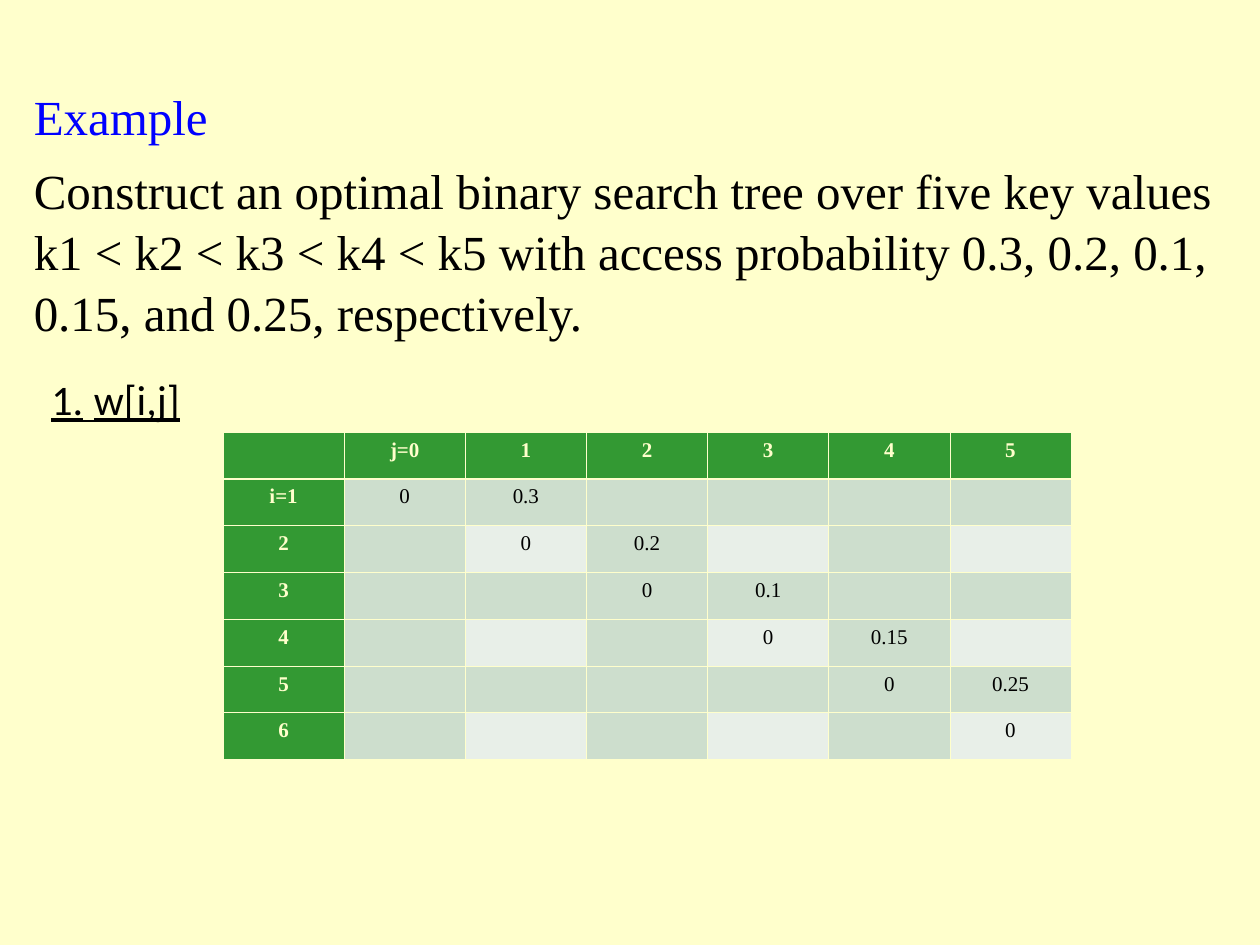
from lxml.etree import SubElement
from pptx import Presentation
from pptx.dml.color import RGBColor
from pptx.enum.text import MSO_ANCHOR as Anchor, PP_ALIGN as Align
from pptx.oxml import parse_xml
from pptx.oxml.ns import nsdecls, qn
from pptx.util import Inches, Pt

WIDTH, HEIGHT = Inches(10), Inches(7.5)
CREAM = RGBColor(0xFF, 0xFF, 0xCC)
BLUE = RGBColor(0x00, 0x00, 0xFF)
INK = RGBColor(0x01, 0x00, 0x00)
BLACK = RGBColor(0x00, 0x00, 0x00)
GREEN = RGBColor(0x33, 0x99, 0x33)
SAGE = RGBColor(0xCD, 0xDE, 0xCD)
PALE = RGBColor(0xE8, 0xEF, 0xE8)
SERIF, SANS = "Times New Roman", "Calibri"

TASK = ("Construct an optimal binary search tree over five key values "
        "k1 < k2 < k3 < k4 < k5 with access probability 0.3, 0.2, 0.1, 0.15, "
        "and 0.25, respectively.")
PROBABILITIES = ["0.3", "0.2", "0.1", "0.15", "0.25"]
COLUMN_HEADS = ["", "j=0", "1", "2", "3", "4", "5"]
ROW_HEADS = ["i=1", "2", "3", "4", "5", "6"]
THIN, THICK = Pt(0.45), Pt(1.47)


def add_span(para, text, size, font, color, bold=False, underline=False):
    span = para.add_run()
    span.text = text
    span.font.size = Pt(size)
    span.font.name = font
    span.font.color.rgb = color
    span.font.bold = bold
    span.font.underline = underline


def add_box(page, left, top, width, height):
    """Add a wrapping text box, placed by shares of the slide's size."""
    box = page.shapes.add_textbox(int(WIDTH * left), int(HEIGHT * top),
                                  int(WIDTH * width), int(HEIGHT * height))
    box.text_frame.word_wrap = True
    return box.text_frame


def add_example(page):
    frame = add_box(page, 0.017, 0.083, 0.967, 0.296)
    first, second = frame.paragraphs[0], frame.add_paragraph()
    for para, text, color in ((first, "Example", BLUE), (second, TASK, INK)):
        para.space_before = Pt(7)
        para.line_spacing = 1.04
        add_span(para, text, 28, SERIF, color)


def add_step_label(page):
    frame = add_box(page, 0.031, 0.389, 0.209, 0.067)
    frame.vertical_anchor = Anchor.MIDDLE
    para = frame.paragraphs[0]
    for text, font in (("1.", SANS), (" ", SERIF), ("w[i,j]", SANS)):
        add_span(para, text, 24, font, BLACK, underline=True)


def weight_rows():
    """Return the table's text: zeros on the diagonal, probabilities beside it."""
    rows = [COLUMN_HEADS]
    for index, head in enumerate(ROW_HEADS):
        values = [""] * len(ROW_HEADS)
        values[index] = "0"
        if index < len(PROBABILITIES):
            values[index + 1] = PROBABILITIES[index]
        rows.append([head] + values)
    return rows


def set_borders(cell, top, bottom):
    properties = cell._tc.get_or_add_tcPr()
    sides = (("L", THIN), ("R", THIN), ("T", top), ("B", bottom))
    for position, (side, width) in enumerate(sides):
        properties.insert(position, parse_xml(
            f'<a:ln{side} {nsdecls("a")} w="{int(width)}"><a:solidFill>'
            f'<a:srgbClr val="{CREAM}"/></a:solidFill></a:ln{side}>'))


def fill_cell(cell, text, row, column):
    is_head = row == 0 or column == 0
    is_pale = row % 2 == 0 and column % 2 == 0
    cell.fill.solid()
    cell.fill.fore_color.rgb = GREEN if is_head else PALE if is_pale else SAGE
    cell.margin_left = cell.margin_right = Inches(0.08)
    set_borders(cell, THICK if row == 1 else THIN, THICK if row == 0 else THIN)
    para = cell.text_frame.paragraphs[0]
    para.alignment = Align.CENTER
    if text:
        add_span(para, text, 12, SERIF, CREAM if is_head else BLACK, bold=is_head)
    else:
        # Keeps an empty cell from stretching its row
        SubElement(para._p, qn("a:endParaRPr"), sz="1200")


def add_weight_table(page):
    rows = weight_rows()
    frame = page.shapes.add_table(len(rows), len(COLUMN_HEADS), Inches(1.77),
                                  Inches(3.43), Inches(6.73), Inches(2.6))
    for row, texts in enumerate(rows):
        for column, text in enumerate(texts):
            fill_cell(frame.table.cell(row, column), text, row, column)


def main():
    deck = Presentation()
    deck.slide_width, deck.slide_height = WIDTH, HEIGHT
    page = deck.slides.add_slide(deck.slide_layouts[6])
    page.background.fill.solid()
    page.background.fill.fore_color.rgb = CREAM
    add_example(page)
    add_weight_table(page)
    add_step_label(page)
    deck.save("out.pptx")


if __name__ == "__main__":
    main()
